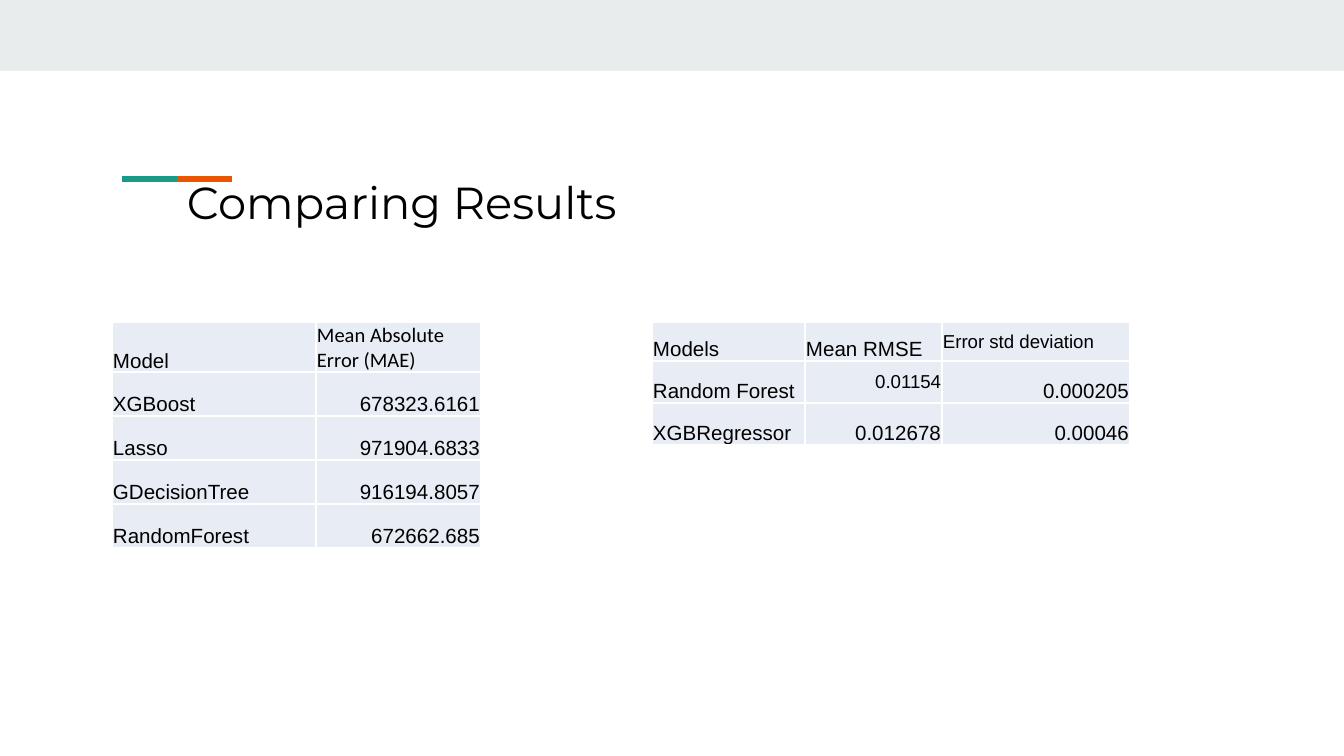
from lxml.etree import SubElement
from pptx import Presentation
from pptx.dml.color import RGBColor
from pptx.enum.shapes import MSO_CONNECTOR, MSO_SHAPE
from pptx.enum.text import MSO_ANCHOR, PP_ALIGN
from pptx.oxml.ns import qn
from pptx.util import Pt

EMU_PER_PX = 914400 / 134.4
COLORS = {
    "band": "E9ECED",
    "orange": "EB5500",
    "teal": "1A9987",
    "text": "000000",
    "cell": "E8ECF4",
    "border": "FFFFFF",
}


def px(length):
    return round(length * EMU_PER_PX)


def rgb(name):
    return RGBColor.from_string(COLORS[name])


def write_text(frame, text, font="Arial", size=11, align=PP_ALIGN.LEFT):
    para = frame.paragraphs[0]
    para.alignment = align
    span = para.add_run()
    span.text = text
    span.font.name = font
    span.font.size = Pt(size)
    span.font.color.rgb = rgb("text")


def add_borders(cell, width=1):
    properties = cell._tc.get_or_add_tcPr()
    for position, side in enumerate(("a:lnL", "a:lnR", "a:lnT", "a:lnB")):
        line = properties.makeelement(qn(side), {"w": str(Pt(width))})
        properties.insert(position, line)
        fill = SubElement(line, qn("a:solidFill"))
        SubElement(fill, qn("a:srgbClr"), val=COLORS["border"])


class SlidePainter:
    def __init__(self, slide):
        self.shapes = slide.shapes

    def band(self, left, top, width, height, color):
        shape = self.shapes.add_shape(
            MSO_SHAPE.RECTANGLE, px(left), px(top), px(width), px(height))
        shape.shadow.inherit = False
        shape.fill.solid()
        shape.fill.fore_color.rgb = rgb(color)
        shape.line.fill.background()

    def rule(self, left, top, width, color, weight=3.6):
        line = self.shapes.add_connector(
            MSO_CONNECTOR.STRAIGHT, px(left), px(top), px(left + width), px(top))
        line.line.color.rgb = rgb(color)
        line.line.width = Pt(weight)
        SubElement(line._element.spPr, qn("a:effectLst"))

    def title(self, left, top, width, height, text):
        box = self.shapes.add_textbox(px(left), px(top), px(width), px(height))
        frame = box.text_frame
        frame.word_wrap = True
        frame.margin_left = frame.margin_right = 0
        frame.margin_top = frame.margin_bottom = 0
        write_text(frame, text, font="Montserrat", size=24)

    def table(self, left, top, widths, heights, rows, special):
        """Draw a table; special maps (row, column) to a font, size or anchor."""
        table = self.shapes.add_table(
            len(heights), len(widths), px(left), px(top),
            px(sum(widths)), px(sum(heights))).table
        for column, width in zip(table.columns, widths):
            column.width = px(width)
        for row, height in zip(table.rows, heights):
            row.height = px(height)
        for row, texts in enumerate(rows):
            for column, text in enumerate(texts):
                style = {"anchor": MSO_ANCHOR.BOTTOM, **special.get((row, column), {})}
                cell = table.cell(row, column)
                cell.vertical_anchor = style.pop("anchor")
                cell.margin_left = cell.margin_right = cell.margin_top = px(1)
                cell.margin_bottom = 0
                cell.fill.solid()
                cell.fill.fore_color.rgb = rgb("cell")
                add_borders(cell)
                is_number = row > 0 and column > 0
                align = PP_ALIGN.RIGHT if is_number else PP_ALIGN.LEFT
                write_text(cell.text_frame, text, align=align, **style)


def main():
    deck = Presentation()
    deck.slide_width, deck.slide_height = px(1344), px(756)
    painter = SlidePainter(deck.slides.add_slide(deck.slide_layouts[6]))

    painter.band(0, 0, 1344, 71, "band")
    painter.rule(177, 179, 55, "orange")
    painter.rule(122, 179, 55, "teal")
    painter.title(187, 175, 970, 58, "Comparing Results")

    error_rows = [
        ("Model", "Mean Absolute Error (MAE)"),
        ("XGBoost", "678323.6161"),
        ("Lasso", "971904.6833"),
        ("GDecisionTree", "916194.8057"),
        ("RandomForest", "672662.685"),
    ]
    painter.table(112, 322, [204, 165], [44] * 5, error_rows,
                  {(0, 1): {"font": "Calibri"}})

    rmse_rows = [
        ("Models", "Mean RMSE", "Error std deviation"),
        ("Random Forest", "0.01154", "0.000205"),
        ("XGBRegressor", "0.012678", "0.00046"),
    ]
    small = {"size": 10, "anchor": MSO_ANCHOR.MIDDLE}
    painter.table(652, 322, [153, 137, 188], [39, 42, 42], rmse_rows,
                  {(0, 2): small, (1, 1): small})

    deck.save("out.pptx")


if __name__ == "__main__":
    main()
